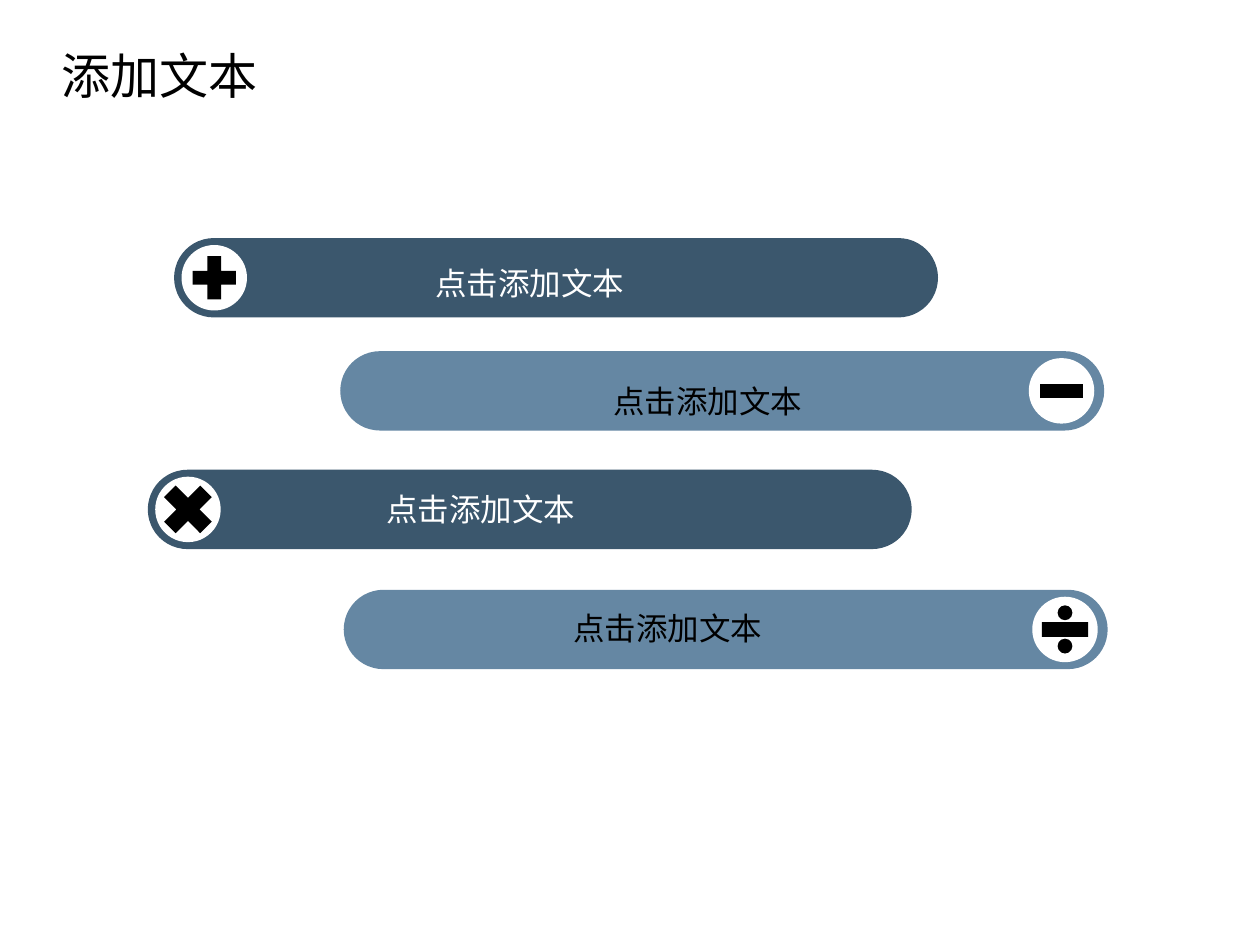
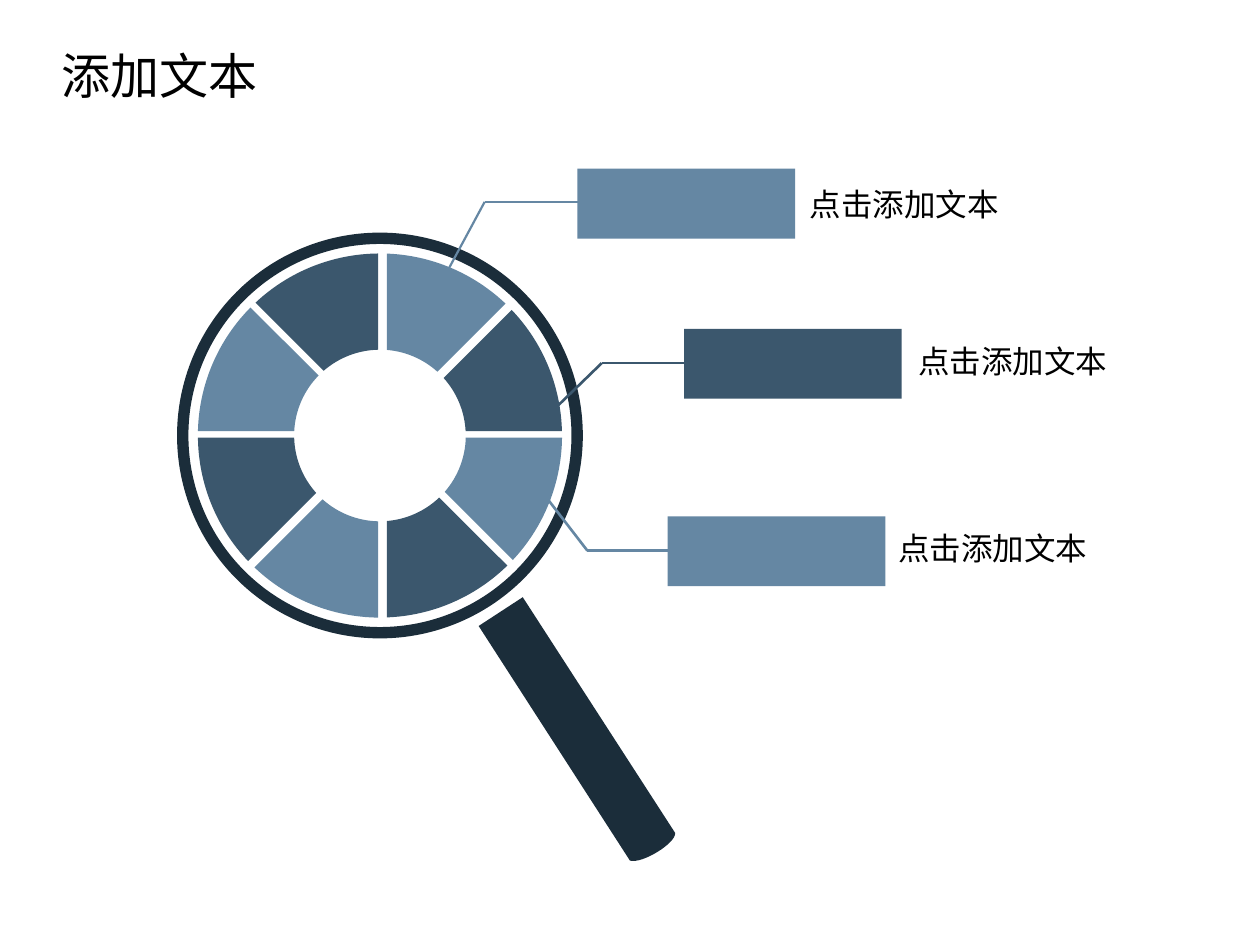
from dataclasses import dataclass
from math import asin, cos, pi, sin, tan

from pptx import Presentation
from pptx.dml.color import RGBColor
from pptx.enum.shapes import MSO_CONNECTOR, MSO_SHAPE
from pptx.enum.text import MSO_AUTO_SIZE
from pptx.oxml.ns import qn
from pptx.shapes.autoshape import Shape
from pptx.slide import Slide
from pptx.util import Cm, Pt

BLACK = RGBColor(0x00, 0x00, 0x00)
WHITE = RGBColor(0xFF, 0xFF, 0xFF)
INK = RGBColor(0x1B, 0x2D, 0x3A)
DARK = RGBColor(0x3B, 0x57, 0x6D)
LIGHT = RGBColor(0x65, 0x87, 0xA3)

FONT = "Noto Sans CJK SC"
TITLE_TEXT = "添加文本"
LABEL_TEXT = "点击添加文本"

PILL = MSO_SHAPE.ROUNDED_RECTANGLE
OVAL = MSO_SHAPE.OVAL
RING = MSO_SHAPE.DONUT
RECTANGLE = MSO_SHAPE.RECTANGLE
PLUS = MSO_SHAPE.MATH_PLUS
MINUS = MSO_SHAPE.MATH_MINUS
MULTIPLY = MSO_SHAPE.MATH_MULTIPLY
DIVIDE = MSO_SHAPE.MATH_DIVIDE
STRAIGHT = MSO_CONNECTOR.STRAIGHT
FIT_TEXT = MSO_AUTO_SIZE.SHAPE_TO_FIT_TEXT

Point = tuple[float, float]

# All lengths below are centimetres.
BAR_WIDTH, BAR_HEIGHT = 15.4, 1.6
DISC_SIZE = 1.32
DISC_INSET_LEFT, DISC_INSET_RIGHT = 0.15, 0.2
BOX_WIDTH, BOX_HEIGHT = 4.39, 1.41

HUB: Point = (7.66, 8.78)
RIM_RADIUS, OUTER_RADIUS, INNER_RADIUS = 4.09, 3.67, 1.73
# Clearance before and after each divider, clockwise from the right.
DIVIDERS = [(-0.09, 0.04), (-0.12, 0.04), (-0.14, 0.04), (-0.09, 0.09),
            (-0.04, 0.09), (-0.02, 0.12), (-0.04, 0.14), (-0.09, 0.09)]
HANDLE = [(9.65, 12.62), (10.54, 12.04), (13.61, 16.79),
          (13.64, 16.99), (12.95, 17.42), (12.7, 17.35)]


@dataclass(frozen=True)
class OperatorBar:
    left: float
    top: float
    color: RGBColor
    operator: MSO_SHAPE
    operator_size: float
    disc_on_right: bool
    label_at: Point
    label_color: RGBColor


@dataclass(frozen=True)
class Callout:
    tip: Point
    elbow: Point
    box_at: Point
    label_at: Point
    color: RGBColor
    line_width: float


BARS = [
    OperatorBar(3.51, 4.8, DARK, PLUS, 1.19, False, (8.53, 5.2), WHITE),
    OperatorBar(6.86, 7.08, LIGHT, MINUS, 1.18, True, (12.11, 7.57), BLACK),
    OperatorBar(2.98, 9.47, DARK, MULTIPLY, 1.4, False, (7.54, 9.76), WHITE),
    OperatorBar(6.93, 11.89, LIGHT, DIVIDE, 1.27, True, (11.31, 12.15), BLACK),
]

CALLOUTS = [
    Callout((8.64, 6.17), (9.77, 4.07), (11.64, 3.4), (16.07, 3.61), LIGHT, 1.25),
    Callout((10.8, 8.61), (12.13, 7.32), (13.79, 6.63), (18.26, 6.78), DARK, 1.5),
    Callout((10.8, 9.75), (11.84, 11.1), (13.46, 10.41), (17.86, 10.54), LIGHT, 1.5),
]


def paint(shape: Shape, color: RGBColor) -> None:
    shape.shadow.inherit = False
    shape.fill.solid()
    shape.fill.fore_color.rgb = color
    shape.line.fill.background()


def add_preset(slide: Slide, kind: MSO_SHAPE, left: float, top: float,
               width: float, height: float, color: RGBColor) -> Shape:
    shape = slide.shapes.add_shape(kind, Cm(left), Cm(top), Cm(width), Cm(height))
    paint(shape, color)
    return shape


def add_centered(slide: Slide, kind: MSO_SHAPE, center: Point, size: float,
                 color: RGBColor) -> Shape:
    x, y = center
    return add_preset(slide, kind, x - size / 2, y - size / 2, size, size, color)


def add_outline(slide: Slide, points: list[Point], curve_starts: tuple[int, ...],
                color: RGBColor) -> None:
    """Closed outline; a cubic curve leaves each point listed in curve_starts."""
    start, *rest = [(Cm(x), Cm(y)) for x, y in points]
    builder = slide.shapes.build_freeform(*start)
    builder.add_line_segments(rest, close=True)
    outline = builder.convert_to_shape()
    paint(outline, color)
    edges = list(outline._element.iter(qn("a:lnTo")))
    for first in curve_starts:
        curve = edges[first].makeelement(qn("a:cubicBezTo"), {})
        edges[first].addprevious(curve)
        for edge in edges[first:first + 3]:
            curve.append(edge[0])
            edge.getparent().remove(edge)


def add_text(slide: Slide, text: str, at: Point, size: Point,
             points: int, color: RGBColor) -> None:
    frame = slide.shapes.add_textbox(*map(Cm, at + size)).text_frame
    for name, value in {"word_wrap": False, "auto_size": FIT_TEXT}.items():
        setattr(frame, name, value)
    run = frame.paragraphs[0].add_run()
    run.text = text
    for name, value in {"name": FONT, "size": Pt(points)}.items():
        setattr(run.font, name, value)
    run.font.color.rgb = color
    east_asian = run.font._element.makeelement(qn("a:ea"), {"typeface": FONT})
    run.font._element.find(qn("a:latin")).addnext(east_asian)


def add_title(slide: Slide) -> None:
    add_text(slide, TITLE_TEXT, (0.99, 0.79), (4.5, 1.45), 28, BLACK)


def add_label(slide: Slide, at: Point, color: RGBColor = BLACK) -> None:
    add_text(slide, LABEL_TEXT, at, (4.37, 1.02), 18, color)


def add_line(slide: Slide, start: Point, end: Point, color: RGBColor,
             width: float) -> None:
    connector = slide.shapes.add_connector(STRAIGHT, *map(Cm, start + end))
    connector.line.color.rgb = color
    connector.line.width = Pt(width)
    properties = connector._element.spPr
    properties.append(properties.makeelement(qn("a:effectLst"), {}))


def draw_bar(slide: Slide, bar: OperatorBar) -> None:
    pill = add_preset(slide, PILL, bar.left, bar.top, BAR_WIDTH, BAR_HEIGHT, bar.color)
    pill.adjustments[0] = 0.5
    if bar.disc_on_right:
        disc_x = bar.left + BAR_WIDTH - DISC_INSET_RIGHT - DISC_SIZE / 2
    else:
        disc_x = bar.left + DISC_INSET_LEFT + DISC_SIZE / 2
    center = (disc_x, bar.top + BAR_HEIGHT / 2)
    add_centered(slide, OVAL, center, DISC_SIZE, WHITE)
    add_centered(slide, bar.operator, center, bar.operator_size, BLACK)
    add_label(slide, bar.label_at, bar.label_color)


def segment_arc(index: int, radius: float) -> list[Point]:
    """Cubic control points of one segment's edge, clockwise between dividers."""
    step = 2 * pi / len(DIVIDERS)
    after = DIVIDERS[index][1]
    before = DIVIDERS[(index + 1) % len(DIVIDERS)][0]
    start = index * step + asin(after / radius)
    end = (index + 1) * step + asin(before / radius)
    pull = 4 / 3 * tan((end - start) / 4)
    corners = ((start, 0), (start, pull), (end, -pull), (end, 0))
    return [(HUB[0] + radius * (cos(angle) - tangent * sin(angle)),
             HUB[1] + radius * (sin(angle) + tangent * cos(angle)))
            for angle, tangent in corners]


def draw_magnifier(slide: Slide) -> None:
    rim = add_centered(slide, RING, HUB, 2 * RIM_RADIUS, INK)
    rim.adjustments[0] = 0.028
    for index in range(len(DIVIDERS)):
        edge = segment_arc(index, OUTER_RADIUS) + segment_arc(index, INNER_RADIUS)[::-1]
        add_outline(slide, edge, (0, 4), DARK if index % 2 else LIGHT)
    add_outline(slide, HANDLE, (2,), INK)


def draw_callout(slide: Slide, callout: Callout) -> None:
    behind_box = (callout.box_at[0] + BOX_WIDTH / 2, callout.elbow[1])
    for start, end in ((callout.tip, callout.elbow), (callout.elbow, behind_box)):
        add_line(slide, start, end, callout.color, callout.line_width)
    add_preset(slide, RECTANGLE, *callout.box_at, BOX_WIDTH, BOX_HEIGHT, callout.color)
    add_label(slide, callout.label_at)


def main() -> None:
    deck = Presentation()
    deck.slide_width, deck.slide_height = Cm(25.4), Cm(19.05)
    blank = deck.slide_layouts[6]

    operators = deck.slides.add_slide(blank)
    add_title(operators)
    for bar in BARS:
        draw_bar(operators, bar)

    magnifier = deck.slides.add_slide(blank)
    add_title(magnifier)
    draw_magnifier(magnifier)
    for callout in CALLOUTS:
        draw_callout(magnifier, callout)

    deck.save("out.pptx")


if __name__ == "__main__":
    main()
